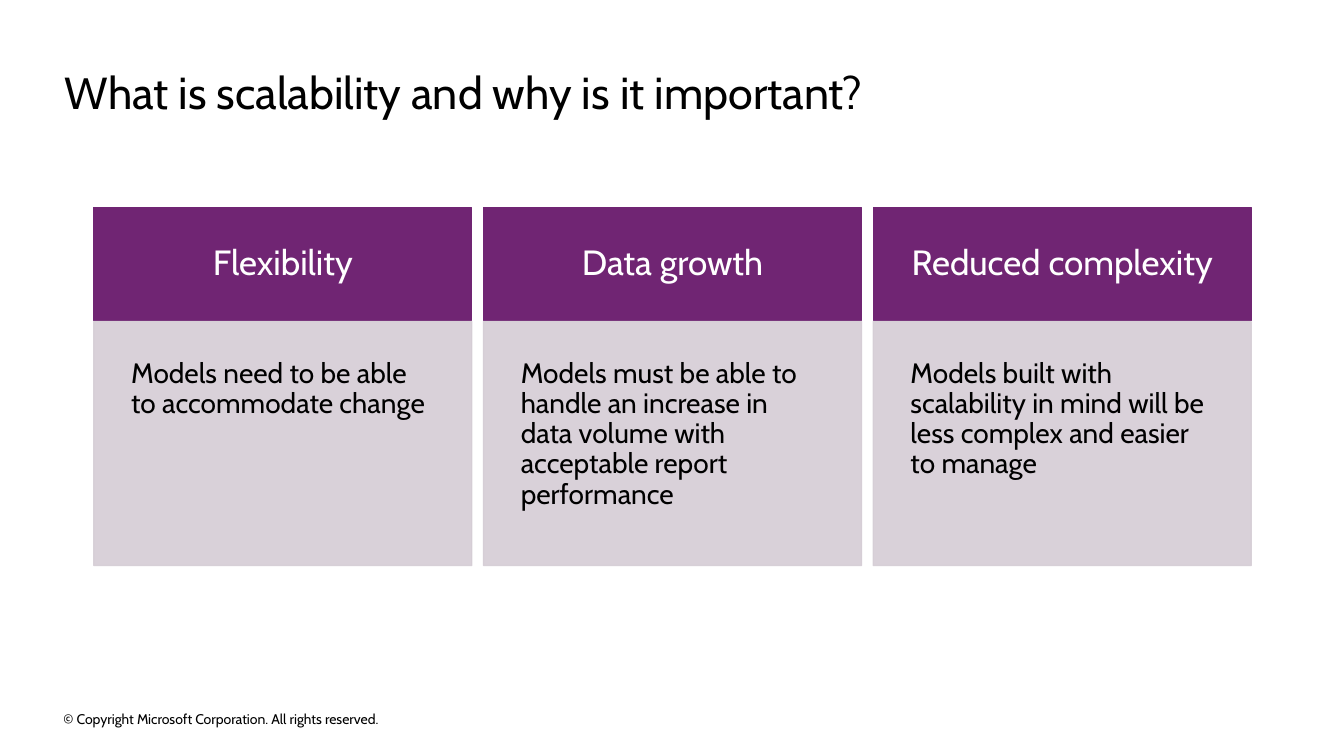
import pptx
import pptx.util
import pptx.dml.color
import pptx.enum.shapes
import pptx.enum.text
import pptx.oxml
from pptx.oxml.ns import nsdecls

Inches = pptx.util.Inches
Pt = pptx.util.Pt
ALIGN = pptx.enum.text.PP_ALIGN
ANCHOR = pptx.enum.text.MSO_ANCHOR

TITLE = "What is scalability and why is it important?"
FOOTER = "© Copyright Microsoft Corporation. All rights reserved."
BENEFITS = [
    ("Flexibility", "Models need to be able to accommodate change"),
    ("Data growth", "Models must be able to handle an increase in data volume "
                    "with acceptable report performance"),
    ("Reduced complexity", "Models built with scalability in mind will be less "
                           "complex and easier to manage"),
]
FONT = "Cabin"
BLACK, WHITE, PURPLE, MAUVE = "000000", "FFFFFF", "702573", "D5CDD5"
CARD_LEFT, CARD_WIDTH, CARD_PITCH = 0.93, 3.75, 3.865
HEADING_TOP, HEADING_HEIGHT = 2.06, 1.12
DETAIL_TOP, DETAIL_HEIGHT = 3.19, 2.42


def paint(color_format, color):
    color_format.rgb = pptx.dml.color.RGBColor.from_string(color)


def write(shape, text, size, color, inset=0, anchor=ANCHOR.TOP, align=ALIGN.LEFT):
    frame = shape.text_frame
    frame.word_wrap = True
    frame.vertical_anchor = anchor
    frame.margin_left = frame.margin_right = Inches(inset)
    frame.margin_top = frame.margin_bottom = Inches(inset)
    paragraph = frame.paragraphs[0]
    paragraph.text = text
    paragraph.alignment = align
    paragraph.font.name = FONT
    paragraph.font.size = Pt(size)
    paint(paragraph.font.color, color)
    return paragraph


def add_text(slide, box, text, size, anchor=ANCHOR.TOP):
    write(slide.shapes.add_textbox(*map(Inches, box)), text, size, BLACK, anchor=anchor)


def add_panel(slide, box, fill, opacity, *text_args):
    panel = slide.shapes.add_shape(
        pptx.enum.shapes.MSO_SHAPE.RECTANGLE, *map(Inches, box))
    panel.shadow.inherit = False
    panel.fill.solid()
    paint(panel.fill.fore_color, fill)
    paint(panel.line.color, fill)
    panel.line.width = Pt(0.85)
    if opacity < 100:
        for color in panel.element.spPr.xpath(".//a:srgbClr"):
            color.append(pptx.oxml.parse_xml(
                f'<a:alpha {nsdecls("a")} val="{opacity * 1000}"/>'))
    write(panel, *text_args).line_spacing = 0.9


def main():
    deck = pptx.Presentation()
    deck.slide_width, deck.slide_height = Inches(13.33), Inches(7.5)
    slide = deck.slides.add_slide(deck.slide_layouts[6])

    add_text(slide, (0.64, 0.64, 12.04, 0.54), TITLE, 32)
    for index, (heading, detail) in enumerate(BENEFITS):
        left = CARD_LEFT + index * CARD_PITCH
        add_panel(slide, (left, HEADING_TOP, CARD_WIDTH, HEADING_HEIGHT), PURPLE, 100,
                  heading, 25, WHITE, 0.3, ANCHOR.MIDDLE, ALIGN.CENTER)
        add_panel(slide, (left, DETAIL_TOP, CARD_WIDTH, DETAIL_HEIGHT), MAUVE, 90,
                  detail, 20, BLACK, 0.37)
    add_text(slide, (0.63, 7.02, 4.54, 0.22), FOOTER, 10, ANCHOR.MIDDLE)

    deck.save("out.pptx")


if __name__ == "__main__":
    main()
